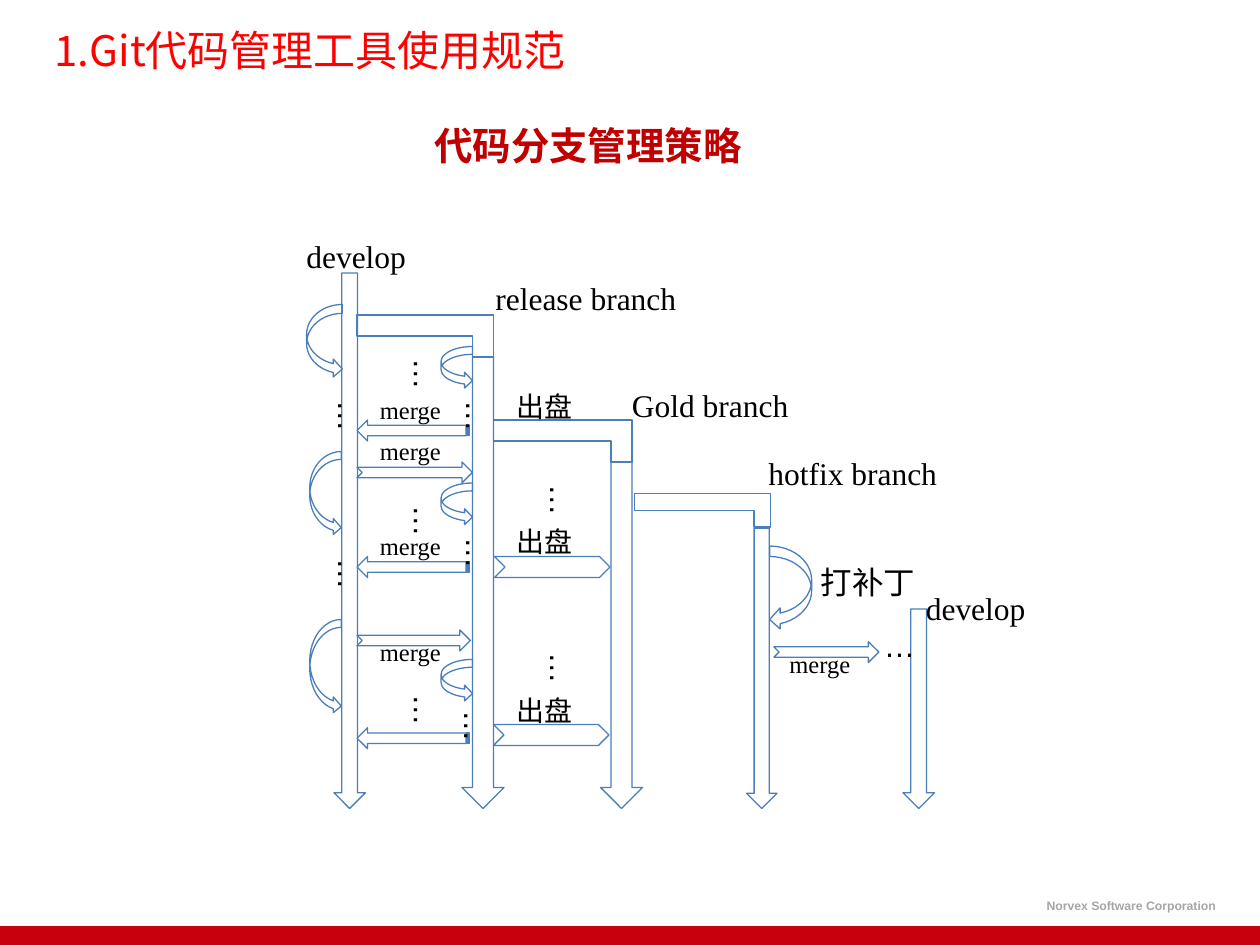
from dataclasses import dataclass

from lxml import etree
from pptx import Presentation
from pptx import util as u
from pptx.dml.color import RGBColor
from pptx.enum import shapes, text
from pptx.oxml.ns import qn

RED = RGBColor(0xFF, 0x00, 0x00)
DARK_RED = RGBColor(0xC0, 0x00, 0x00)
BAR_RED = RGBColor(0xC8, 0x00, 0x0E)
GREY = RGBColor(0xA6, 0xA6, 0xA6)
BLUE = RGBColor(0x4B, 0x7E, 0xBC)
BLACK = RGBColor(0x00, 0x00, 0x00)

HAN = "Noto Sans CJK SC"
SERIF = "Times New Roman"
SANS = "Arial"

WIDE, HIGH = u.Inches(10), u.Inches(7.5)
COLS, ROWS = 120, 90  # square cells, twelve to the inch
FOOT = 77  # row where every branch ends
KIND = shapes.MSO_SHAPE


@dataclass
class Box:
    x: float
    y: float
    w: float
    h: float

    def place(self) -> tuple[int, int, int, int]:
        across, down = WIDE / COLS, HIGH / ROWS
        return (int(self.x * across), int(self.y * down),
                int(self.w * across), int(self.h * down))


@dataclass
class Style:
    size: float
    font: str
    color: RGBColor = BLACK
    bold: bool = False


@dataclass
class Label:
    words: str
    box: Box
    style: Style


NAME = Style(18, SERIF)
MERGE = Style(14, SERIF)
STEP = Style(16, SANS)
MARK = Style(18, SANS)


def add_run(para, words: str, style: Style) -> None:
    run = para.add_run()
    run.text = words
    font = run.font
    font.size, font.name, font.bold = u.Pt(style.size), style.font, style.bold
    font.color.rgb = style.color
    east = etree.SubElement(run._r.get_or_add_rPr(), qn("a:ea"))
    east.set("typeface", HAN)


def add_label(home, label: Label, wrap: bool = True, down: bool = False):
    frame = home.add_textbox(*label.box.place()).text_frame
    frame.word_wrap = wrap
    frame.auto_size = text.MSO_AUTO_SIZE.SHAPE_TO_FIT_TEXT
    if down:
        frame._txBody.bodyPr.set("vert", "eaVert")
    add_run(frame.paragraphs[0], label.words, label.style)
    return frame


def add_form(home, kind: KIND, box: Box, turn: float = 0) -> None:
    form = home.add_shape(kind, *box.place())
    form.shadow.inherit = False
    form.rotation = turn
    form.fill.background()
    form.line.color.rgb = BLUE
    form.line.width = u.Pt(0.75)


# Branches: column, first row, width
LANES = [(31.8, 26, 3), (44, 34, 4), (57.2, 44, 4), (71.1, 50.3, 2.9), (86, 58, 3)]

# Other outlines: kind, turn, boxes
FORMS = [
    (KIND.CORNER, 180, [Box(34, 30, 13, 4), Box(47, 40, 13.2, 4),
                        Box(60.4, 47, 13, 3.2)]),
    (KIND.CHEVRON, 0, [Box(47.1, 53, 11, 2), Box(47, 69, 11, 2)]),
    (KIND.NOTCHED_RIGHT_ARROW, 0, [Box(34, 44, 11, 2), Box(34, 60, 10.8, 2),
                                   Box(73.7, 61.1, 10, 2)]),
    (KIND.STRIPED_RIGHT_ARROW, 180,
     [Box(34, y, 10.7, 2) for y in (40, 53, 69.3)]),
    (KIND.CURVED_RIGHT_ARROW, 0,
     [Box(29.2, 29, 3.4, 7), Box(29.5, 43, 3, 8), Box(29.5, 59, 3, 9)]
     + [Box(42, y, 3, 4) for y in (33, 46, 62.8)]),
    (KIND.CURVED_LEFT_ARROW, 0, [Box(73.3, 52, 4, 8)]),
]

LABELS = [
    Label("develop", Box(28, 22, 13, 4.8), NAME),
    Label("release branch", Box(46, 26, 22, 4.8), NAME),
    Label("Gold branch", Box(59, 36.2, 22, 4.8), NAME),
    Label("hotfix branch", Box(72, 42.7, 22, 4.8), NAME),
    Label("develop", Box(87, 55.5, 13, 4.8), NAME),
    Label("打补丁", Box(77, 53, 16, 4.8), MARK),
    Label("…", Box(83, 59, 7, 4.8), MARK),
]
LABELS += [Label("merge", Box(x, y, 9, 4.1), MERGE)
           for x, y in ((35, 37), (35, 40.9), (35, 50), (35, 60.1), (74, 61.2))]
LABELS += [Label("出盘", Box(48, y, 8, 4.4), STEP) for y in (36.5, 49.4, 65.5)]

# Upright dots: column, height, rows
DOTS = [(29.8, 4, (37, 52)), (42, 4, (37, 50)), (41.8, 4, (66.5,)),
        (37, 5, (33, 47, 65)), (50, 5, (45, 61))]


def main() -> None:
    deck = Presentation()
    deck.slide_width, deck.slide_height = WIDE, HIGH
    slide = deck.slides.add_slide(deck.slide_layouts[5])

    # Footer
    bar = slide.shapes.add_shape(KIND.RECTANGLE, *Box(0, 88.2, COLS, 1.9).place())
    bar.shadow.inherit = False
    bar.fill.solid()
    bar.fill.fore_color.rgb = BAR_RED
    bar.line.fill.background()
    add_label(slide.shapes, Label("Norvex Software Corporation",
              Box(98.5, 85, 19, 2.6), Style(7, SANS, GREY, True)), wrap=False)

    # Title and heading
    title = slide.shapes.title
    title.left, title.top, title.width, title.height = Box(4, 2, 97, 5.5).place()
    frame = title.text_frame
    frame.auto_size = text.MSO_AUTO_SIZE.NONE
    frame.vertical_anchor = text.MSO_ANCHOR.MIDDLE
    frame.paragraphs[0].alignment = text.PP_ALIGN.LEFT
    add_run(frame.paragraphs[0], "1.Git代码管理工具使用规范", Style(24, HAN, RED))
    head = add_label(slide.shapes, Label("代码分支管理策略", Box(4, 11, 104, 5.6),
                                         Style(22, HAN, DARK_RED, True)))
    head.paragraphs[0].alignment = text.PP_ALIGN.CENTER

    # Branch chart
    chart = slide.shapes.add_group_shape().shapes
    for x, top, wide in LANES:
        add_form(chart, KIND.DOWN_ARROW, Box(x, top, wide, FOOT - top))
    for kind, turn, boxes in FORMS:
        for box in boxes:
            add_form(chart, kind, box, turn)
    for label in LABELS:
        add_label(chart, label)
    for x, high, tops in DOTS:
        for top in tops:
            add_label(chart, Label("…", Box(x, top, 6, high), MARK), down=True)

    deck.save("out.pptx")


if __name__ == "__main__":
    main()
